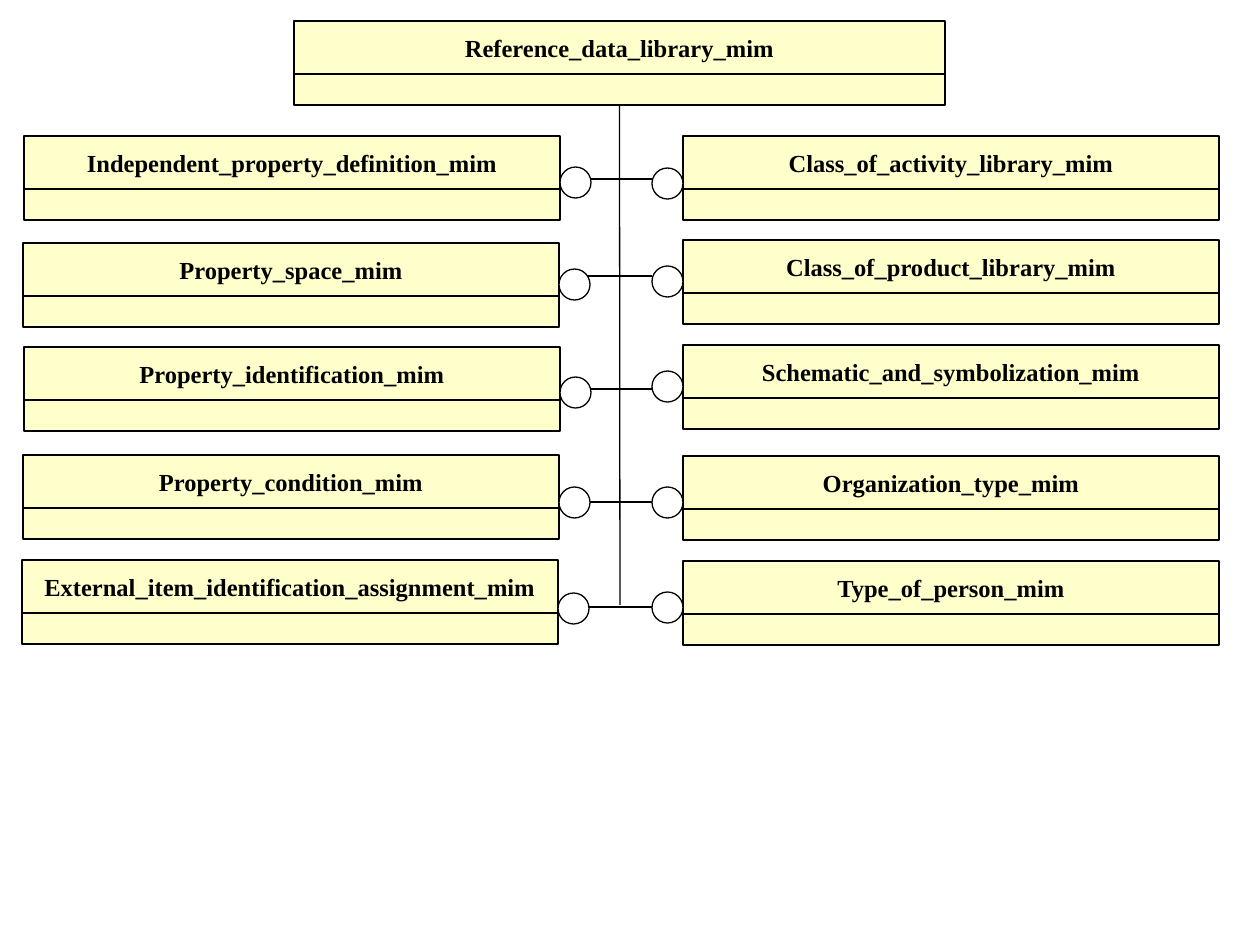
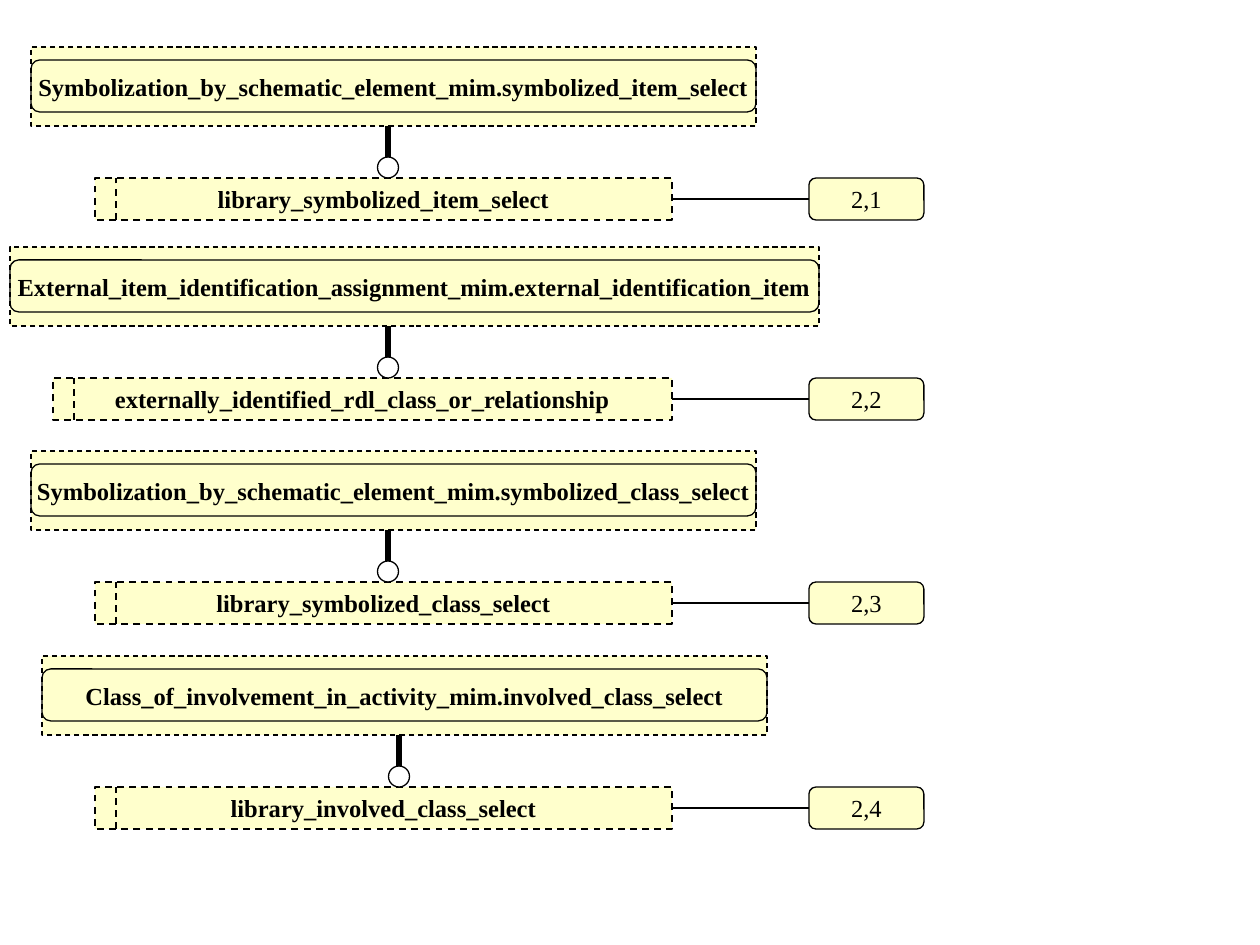
from lxml import etree
from pptx import Presentation
from pptx import util as u
from pptx.dml.color import RGBColor
from pptx.enum import dml, shapes, text
from pptx.oxml.ns import qn

PX = 914400 / 126
COLOURS = {"box": "FFFFCC", "node": "FFFFFF", "ink": "000000"}
FONT, FONT_SIZE = "Times New Roman", 14
RECT, ROUND, OVAL = (shapes.MSO_SHAPE.RECTANGLE, shapes.MSO_SHAPE.ROUNDED_RECTANGLE,
                     shapes.MSO_SHAPE.OVAL)
BOTTOM, LEFT, RIGHT = 2, 1, 3

SPINE_X, SPINE_END = 620, 605
SCHEMA_WIDTH, HEAD_HEIGHT, BODY_HEIGHT, NODE_SIZE = 536, 53, 31, 31
RIGHT_X = 683
LINK_YS = [179, 276, 389, 502, 607]
LEFT_SCHEMAS = [
    ("Independent_property_definition_mim", 24, 136, 167),
    ("Property_space_mim", 23, 243, 269),
    ("Property_identification_mim", 24, 347, 377),
    ("Property_condition_mim", 23, 455, 487),
    ("External_item_identification_assignment_mim", 22, 560, 593),
]
RIGHT_SCHEMAS = [
    ("Class_of_activity_library_mim", 136, 168),
    ("Class_of_product_library_mim", 240, 266),
    ("Schematic_and_symbolization_mim", 345, 371),
    ("Organization_type_mim", 456, 487),
    ("Type_of_person_mim", 561, 592),
]

FRAME_HEIGHT, STEM_END, BAR_OFFSET = 79, 110, 131
BAR_HEIGHT, BAR_RIGHT, STRIP, KNOB_SIZE = 42, 672, 21, 21
TAG_X, TAG_WIDTH = 809, 115
SELECTS = [
    ("Symbolization_by_schematic_element_mim.symbolized_item_select", 31, 47, 725,
     388, "library_symbolized_item_select", 95, "2,1"),
    ("External_item_identification_assignment_mim.external_identification_item", 10, 247, 809,
     388, "externally_identified_rdl_class_or_relationship", 53, "2,2"),
    ("Symbolization_by_schematic_element_mim.symbolized_class_select", 31, 451, 725,
     388, "library_symbolized_class_select", 95, "2,3"),
    ("Class_of_involvement_in_activity_mim.involved_class_select", 42, 656, 725,
     399, "library_involved_class_select", 95, "2,4"),
]


def px(length):
    """Turn pixels into EMU."""
    return u.Emu(round(length * PX))


def colour(name):
    """Return a named colour."""
    return RGBColor.from_string(COLOURS[name])


def style_line(line, width, dashed):
    """Give an outline or connector its ink, width and dash."""
    line.color.rgb = colour("ink")
    line.width = u.Pt(width)
    if dashed:
        line.dash_style = dml.MSO_LINE.DASH


def add_outline(canvas, kind, x, y, width, height, fill="box", weight=0.75, dashed=False):
    """Add a preset shape with its fill and outline."""
    outline = canvas.add_shape(kind, px(x), px(y), px(width), px(height))
    outline.shadow.inherit = False
    if fill:
        outline.fill.solid()
        outline.fill.fore_color.rgb = colour(fill)
    else:
        outline.fill.background()
    style_line(outline.line, weight, dashed)
    return outline


def add_label(outline, wording, bold=True):
    """Write one centred line in a shape."""
    frame = outline.text_frame
    frame.word_wrap = False
    frame.vertical_anchor = text.MSO_ANCHOR.MIDDLE
    paragraph = frame.paragraphs[0]
    paragraph.alignment = text.PP_ALIGN.CENTER
    run = paragraph.add_run()
    run.text = wording
    run.font.name = FONT
    run.font.size = u.Pt(FONT_SIZE)
    run.font.bold = bold
    run.font.color.rgb = colour("ink")


def add_link(canvas, x1, y1, x2, y2, weight=0.75, dashed=False):
    """Add a straight connector without a shadow."""
    link = canvas.add_connector(shapes.MSO_CONNECTOR.STRAIGHT, px(x1), px(y1), px(x2), px(y2))
    style_line(link.line, weight, dashed)
    etree.SubElement(link._element.spPr, qn("a:effectLst"))
    return link


def add_schema(canvas, name, x, y, width=SCHEMA_WIDTH):
    """Add a schema box of a named head over an empty body, and return the body."""
    schema = canvas.add_group_shape().shapes
    add_label(add_outline(schema, RECT, x, y, width, HEAD_HEIGHT), name)
    return add_outline(schema, RECT, x, y + HEAD_HEIGHT, width, BODY_HEIGHT)


def add_node(canvas, x, y, size):
    """Add the open circle that ends a link."""
    add_outline(canvas, OVAL, x, y, size, size, "node")


def add_select_frame(canvas, name, x, y, width):
    """Add a dashed frame with a rounded outline inside it."""
    select = canvas.add_group_shape().shapes
    add_label(add_outline(select, RECT, x, y, width, FRAME_HEIGHT, dashed=True), name)
    add_outline(select, ROUND, x, y + 13, width, 52, None)


def add_select_bar(canvas, name, x, y):
    """Add a dashed select bar with a strip at its left, and return the bar."""
    select = canvas.add_group_shape().shapes
    bar = add_outline(select, RECT, x, y, BAR_RIGHT - x, BAR_HEIGHT, weight=1, dashed=True)
    add_label(bar, name)
    add_link(select, x + STRIP, y + BAR_HEIGHT, x + STRIP, y, 1, True)
    return bar


def add_page_tag(canvas, number, y, bar):
    """Add a page reference and join it to its select bar."""
    tag = add_outline(canvas, ROUND, TAG_X, y, TAG_WIDTH, BAR_HEIGHT)
    add_label(tag, number, bold=False)
    middle = y + BAR_HEIGHT / 2
    link = add_link(canvas, BAR_RIGHT, middle, TAG_X, middle)
    link.begin_connect(bar, RIGHT)
    link.end_connect(tag, LEFT)


def build_schema_slide(canvas):
    """Draw the library schema and the schemas it uses."""
    root_body = add_schema(canvas, "Reference_data_library_mim", 294, 21, 651)
    spine = add_link(canvas, SPINE_X, 105, SPINE_X, SPINE_END)
    spine.begin_connect(root_body, BOTTOM)
    for (name, x, y, node_y), link_y in zip(LEFT_SCHEMAS, LINK_YS):
        add_schema(canvas, name, x, y)
        add_link(canvas, 587, link_y, SPINE_X, link_y)
        add_node(canvas, x + SCHEMA_WIDTH, node_y, NODE_SIZE)
    for (name, y, node_y), link_y in zip(RIGHT_SCHEMAS, LINK_YS):
        node_x = RIGHT_X - NODE_SIZE
        add_schema(canvas, name, RIGHT_X, y)
        add_link(canvas, SPINE_X, link_y, node_x, link_y)
        add_node(canvas, node_x, node_y, NODE_SIZE)


def build_select_slide(canvas):
    """Draw each select type with its extension and page reference."""
    for name, x, y, width, stem_x, extension, bar_x, page in SELECTS:
        add_select_frame(canvas, name, x, y, width)
        bar = add_select_bar(canvas, extension, bar_x, y + BAR_OFFSET)
        add_page_tag(canvas, page, y + BAR_OFFSET, bar)
        add_node(canvas, stem_x - KNOB_SIZE / 2, y + STEM_END, KNOB_SIZE)
        add_link(canvas, stem_x, y + STEM_END, stem_x, y + FRAME_HEIGHT, 3)


def main():
    """Build both slides and save them."""
    deck = Presentation()
    deck.slide_width, deck.slide_height = u.Inches(10), u.Inches(7.5)
    for build in (build_schema_slide, build_select_slide):
        build(deck.slides.add_slide(deck.slide_layouts[6]).shapes)
    deck.save("out.pptx")


if __name__ == "__main__":
    main()
